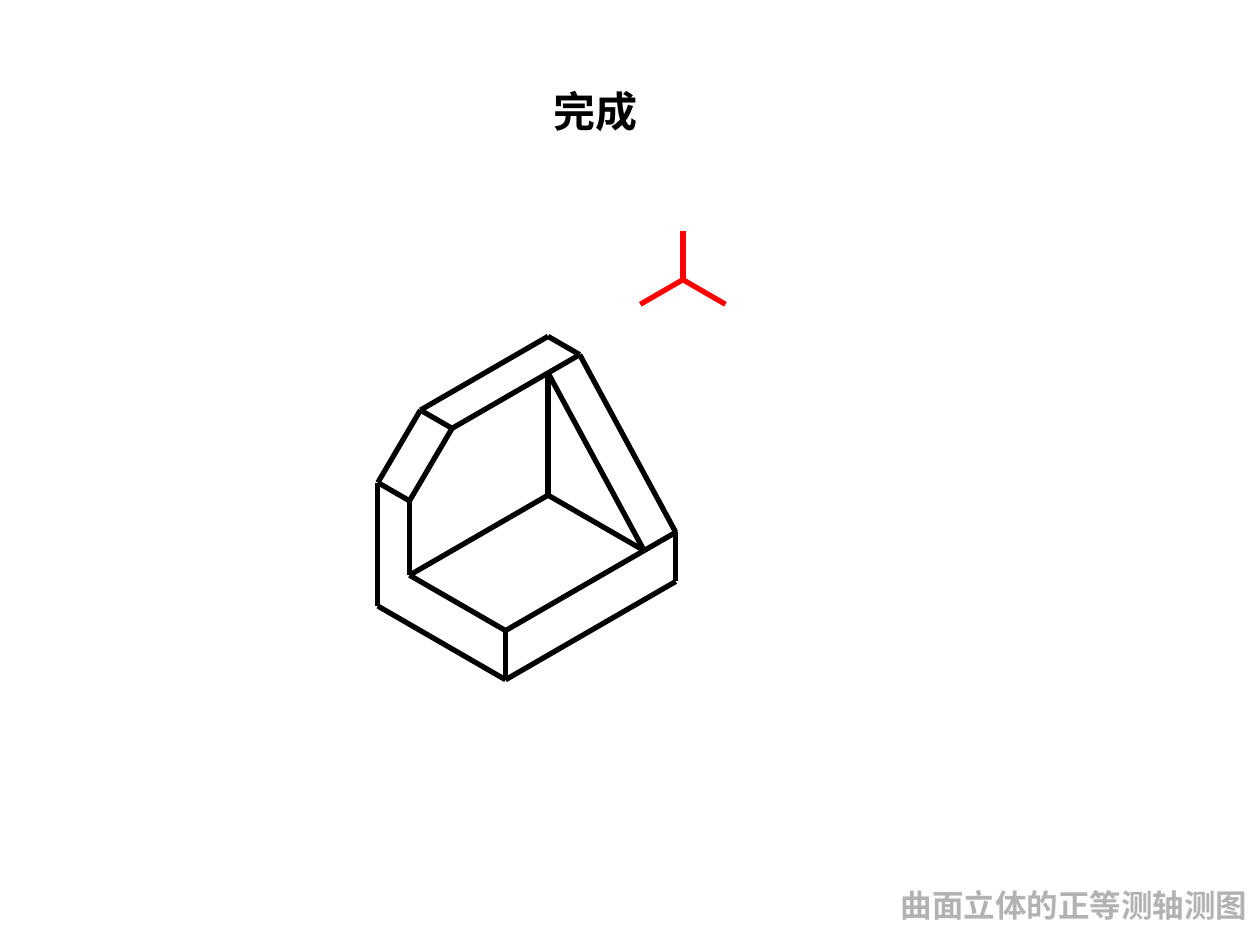
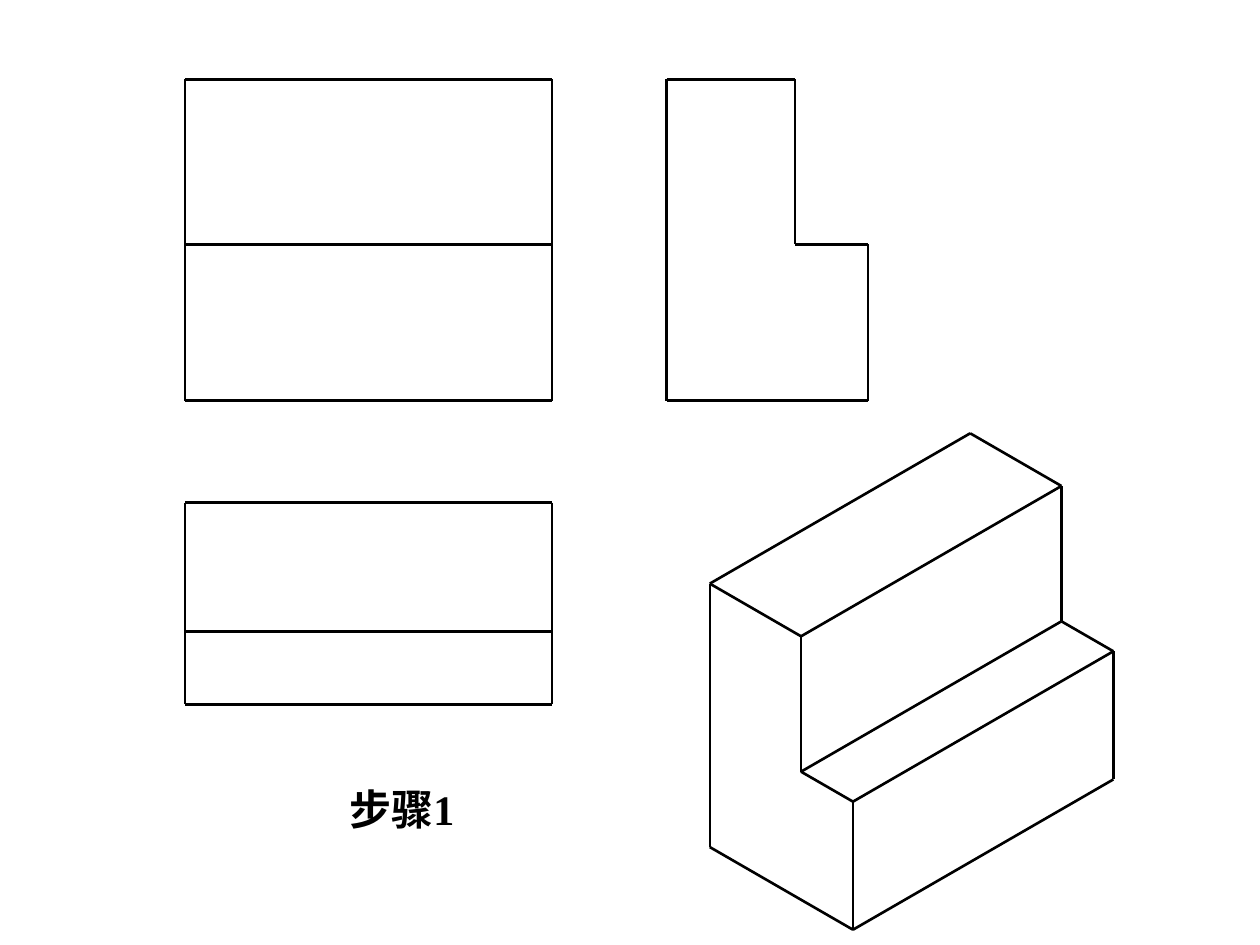
import itertools
import math

import pptx
import pptx.dml.color
import pptx.enum.shapes
import pptx.enum.text
import pptx.oxml
import pptx.oxml.ns
import pptx.util

BLACK, RED, GREY = "000000", "FF0000", "B2B2B2"
FONT = "Times New Roman"
BOLD_LINE, FINE_LINE = 3, 1.5
inch = pptx.util.Inches
hex_colour = pptx.dml.color.RGBColor.from_string


def draw_edges(slide, corners, weight, colour=BLACK):
    """Join each corner (x, y in inches) to the next with a straight line."""
    for (x1, y1), (x2, y2) in itertools.pairwise(corners):
        edge = slide.shapes.add_connector(
            pptx.enum.shapes.MSO_CONNECTOR.STRAIGHT,
            inch(x1), inch(y1), inch(x2), inch(y2))
        edge.line.color.rgb = hex_colour(colour)
        edge.line.width = pptx.util.Pt(weight)
        properties = edge._element.find(pptx.oxml.ns.qn("p:spPr"))
        properties.append(pptx.oxml.parse_xml(
            f"<a:effectLst {pptx.oxml.ns.nsdecls('a')}/>"))


def isometric(origin, *corners):
    """Project (left, right, up) lengths onto the slide; both ground axes fall at 30 degrees."""
    cos30 = math.cos(math.radians(30))
    return [(origin[0] + (right - left) * cos30,
             origin[1] + (left + right) / 2 - up)
            for left, right, up in corners]


deck = pptx.Presentation()
deck.slide_width, deck.slide_height = inch(10), inch(7.5)
blank = deck.slide_layouts[6]
finished, step_one = (deck.slides.add_slide(blank) for _ in range(2))

# Captions: slide, wording, place, size, colour, is a centred title
captions = [
    (finished, "完成", (0.83, 0.67, 7.79, 0.42), 24, BLACK, True),
    (finished, "曲面立体的正等测轴测图", (7.05, 6.98, 2.95, 0.4), 18, GREY, False),
    (step_one, "步骤1", (1.41, 6.18, 3.56, 0.48), 24, BLACK, True),
]
for slide, wording, place, size, colour, is_title in captions:
    frame = slide.shapes.add_textbox(*map(inch, place)).text_frame
    frame.text = wording
    frame.word_wrap = is_title
    paragraph = frame.paragraphs[0]
    if is_title:
        frame.vertical_anchor = pptx.enum.text.MSO_ANCHOR.MIDDLE
        paragraph.alignment = pptx.enum.text.PP_ALIGN.CENTER
    font = paragraph.runs[0].font
    font.name, font.size, font.bold = FONT, pptx.util.Pt(size), True
    font.color.rgb = hex_colour(colour)

# Slide 1: bracket with a chamfered wall and a sloping rib
bracket = (4.35, 4.03)
length, depth, height = 1.56, 1.17, 1.36
wall, base = 0.29, 0.39
chamfer_start, chamfer_foot = 1.17, 0.98
wall_top = [(length, chamfer_foot), (chamfer_start, height), (0, height)]
inner_top, inner_foot = (wall, wall, height), (wall, wall, base)
rib_foot, base_end = (wall, depth, base), (0, depth, base)
base_front = (length, depth, base)
wall_foot = (length, wall, base)

bracket_paths = [
    # back face of the wall
    [(length, 0, 0)] + [(left, 0, up) for left, up in wall_top],
    # front face of the wall
    [wall_foot] + [(left, wall, up) for left, up in wall_top[:2]]
    + [inner_top, (0, wall, height)],
    # base
    [(length, 0, 0), (length, depth, 0), (0, depth, 0), base_end],
    [wall_foot, base_front, rib_foot, base_end],
    [(length, depth, 0), base_front],
    # inside corner
    [wall_foot, inner_foot, inner_top],
    [inner_foot, rib_foot],
    # slopes of the rib
    [(0, wall, height), base_end],
    [inner_top, rib_foot],
]
# thickness of the wall
bracket_paths += [[(left, 0, up), (left, wall, up)] for left, up in wall_top]
for corners in bracket_paths:
    draw_edges(finished, isometric(bracket, *corners), BOLD_LINE)

for axis_end in [(0, base, 0), (0, 0, base), (base, 0, 0)]:
    draw_edges(finished, isometric((5.42, 2.22), (0, 0, 0), axis_end), BOLD_LINE, RED)

# Slide 2: three views of the stepped block
block_length, block_depth, block_height = 2.91, 1.6, 2.55
step_depth, step_height = 1.02, 1.24
view_left, side_left = 1.47, 5.29
front_top, plan_top = 0.63, 3.99
view_right = view_left + block_length
views = [
    (front_top, (0, block_height - step_height, block_height)),
    (plan_top, (0, step_depth, block_depth)),
]
for top, offsets in views:
    rows = [top + offset for offset in offsets]
    for y in rows:
        draw_edges(step_one, [(view_left, y), (view_right, y)], FINE_LINE)
    for x in (view_left, view_right):
        draw_edges(step_one, [(x, y) for y in rows], FINE_LINE)

profile = [(0, 0), (0, block_height), (step_depth, block_height),
           (step_depth, step_height), (block_depth, step_height), (block_depth, 0)]
closed_profile = profile + profile[:1]
ground = front_top + block_height
draw_edges(step_one, [(side_left + across, ground - up) for across, up in closed_profile],
           FINE_LINE)

# The same block in isometric, shortened along each axis
SHORTENING = 0.82
block_paths = [
    [(block_length, *point) for point in closed_profile],
    [(0, *point) for point in profile[1:]],
]
block_paths += [[(block_length, *point), (0, *point)] for point in profile[1:]]
for corners in block_paths:
    shortened = [[SHORTENING * size for size in corner] for corner in corners]
    draw_edges(step_one, isometric((7.7, 5.53), *shortened), FINE_LINE)

deck.save("out.pptx")
